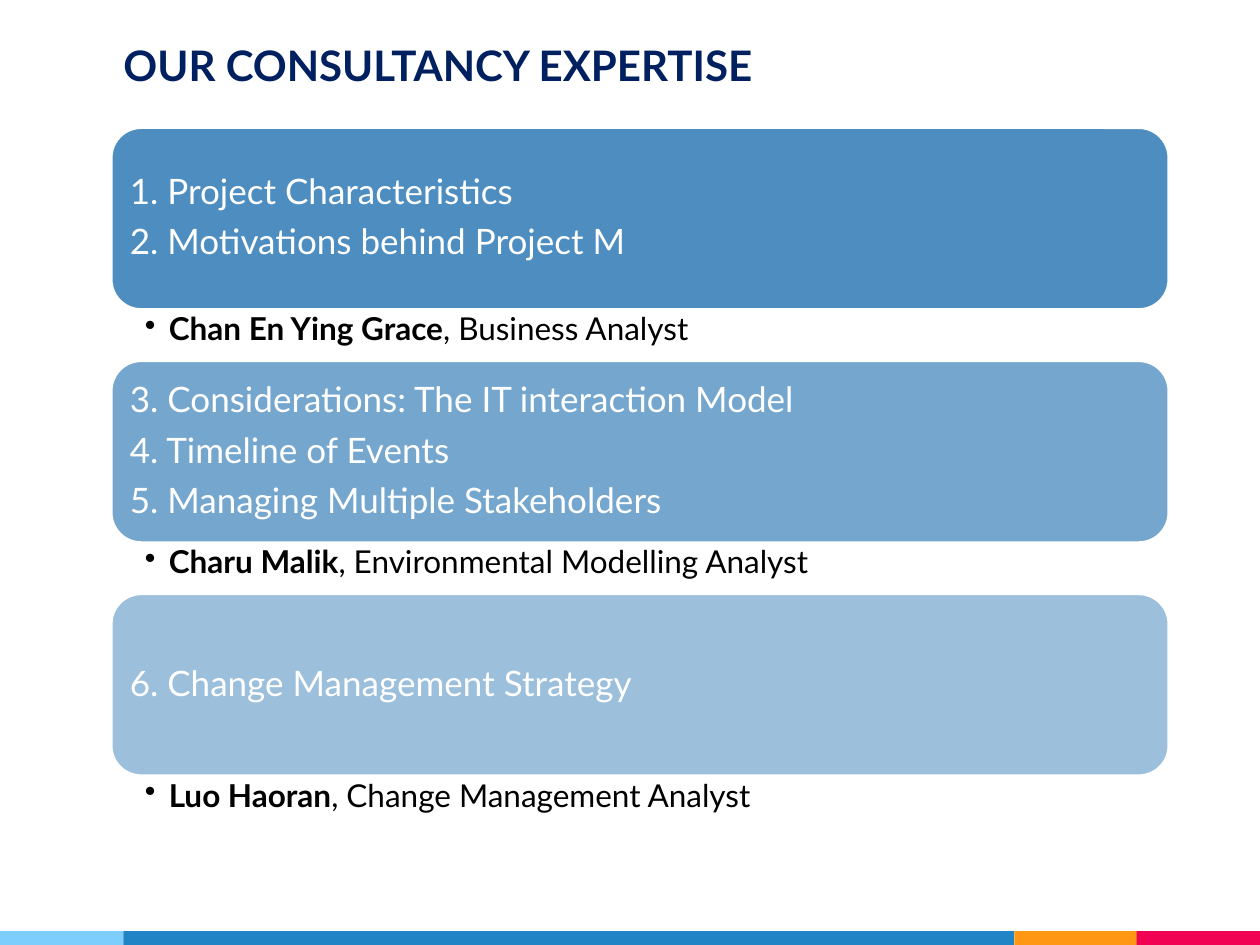
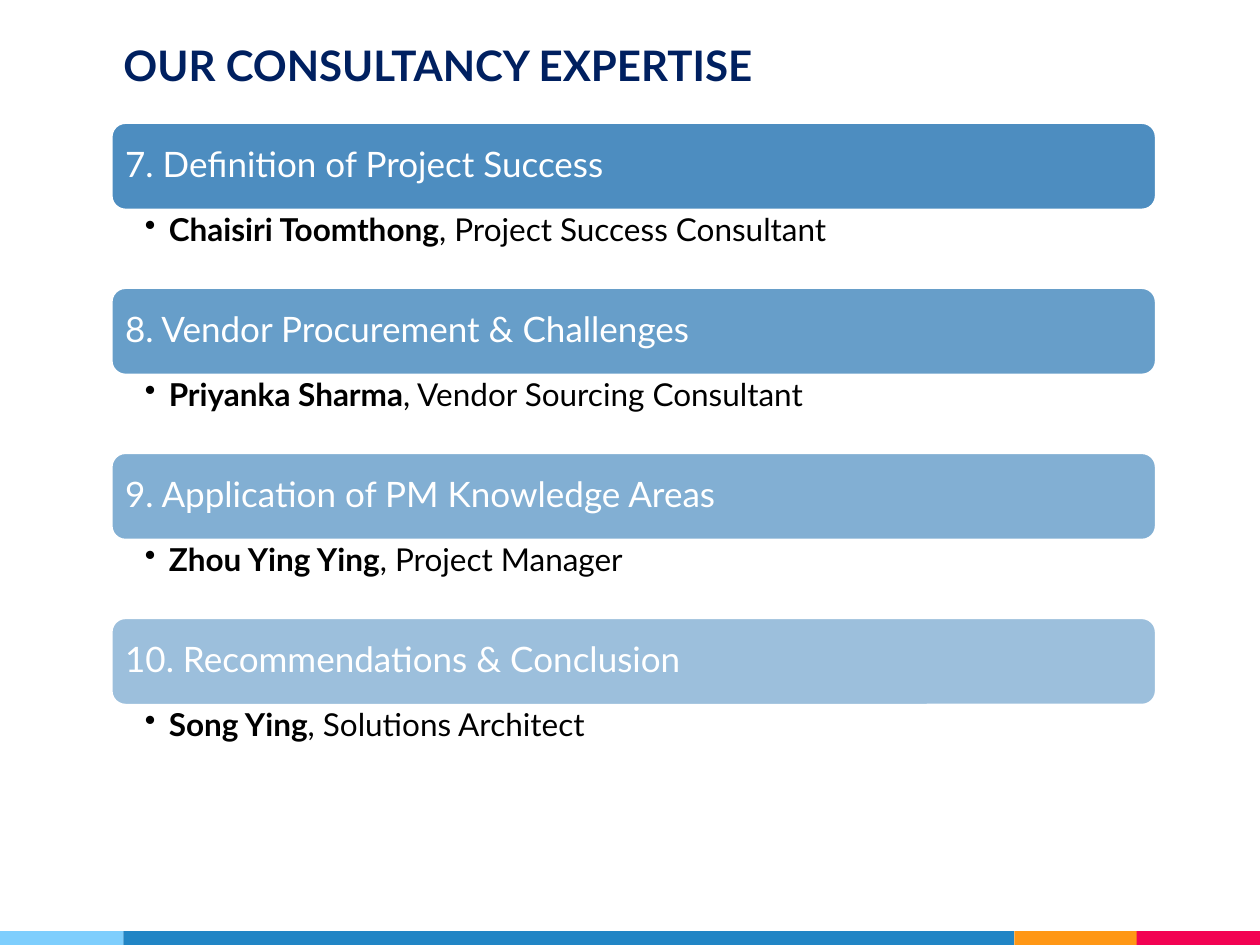
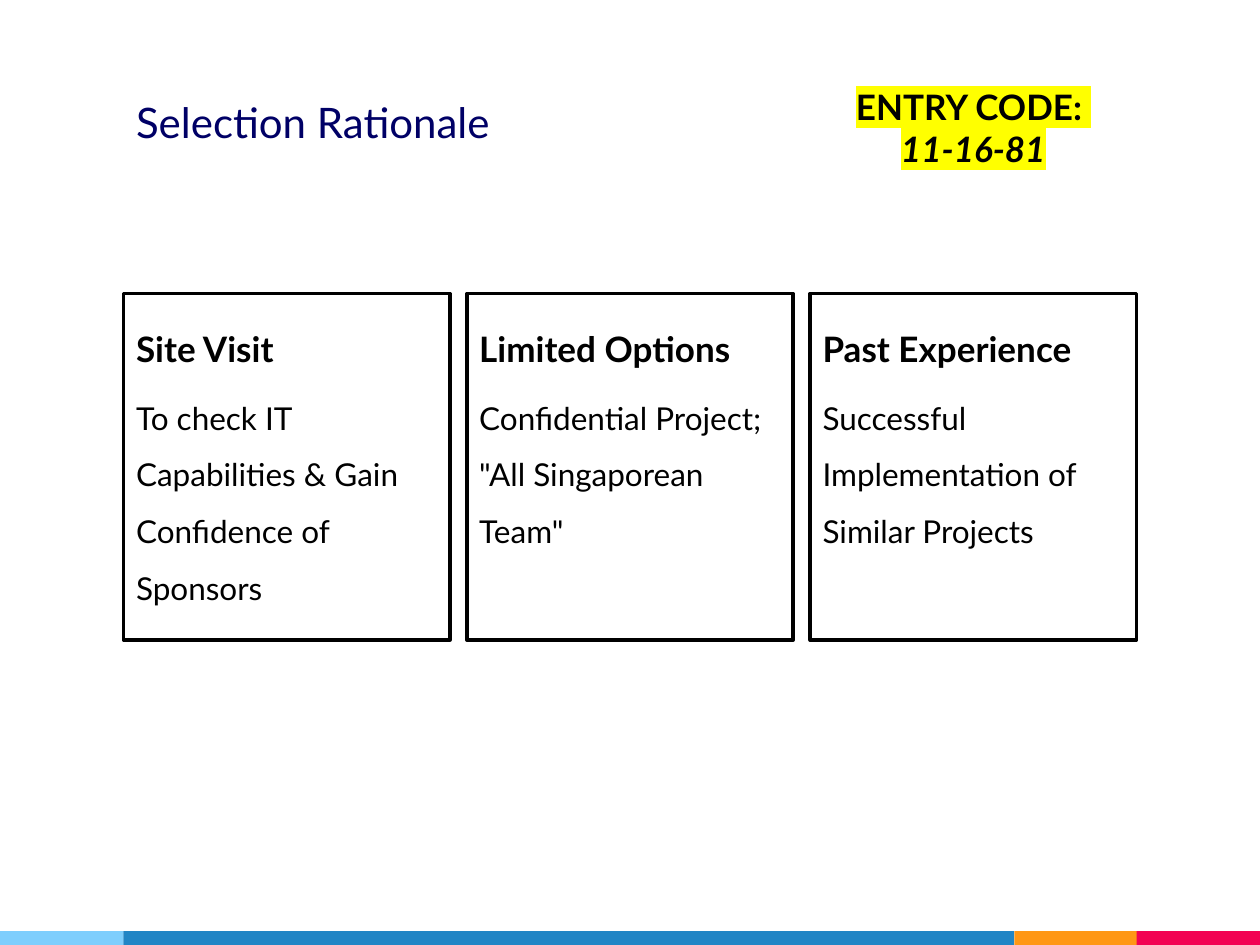
from lxml.etree import SubElement
from pptx import Presentation
from pptx.dml.color import RGBColor
from pptx.enum.shapes import MSO_SHAPE
from pptx.enum.text import MSO_ANCHOR, MSO_AUTO_SIZE, PP_ALIGN
from pptx.oxml.ns import qn
from pptx.util import Inches, Pt

FONT = "Lato"
WHITE = "FFFFFF"
BLACK = "000000"
NAVY = "002060"
INDIGO = "000066"
BAND_BLUE = "3A81BA"
HIGHLIGHT = "FFFF00"
FOOTER_TOP = 7.39
FOOTER_STRIPES = [
    (0, 0.98, "7ECEFD"),
    (0.98, 7.07, "2185C5"),
    (8.05, 0.98, "FF9715"),
    (9.02, 0.98, "F20253"),
]
EXPERTISE_TITLE = "OUR CONSULTANCY EXPERTISE"
BAND_LEFT = 0.88

FIRST_TEAM = [
    (["1. Project Characteristics", "2. Motivations behind Project M"],
     "Chan En Ying Grace", "Business Analyst"),
    (["3. Considerations: The IT interaction Model", "4. Timeline of Events",
      "5. Managing Multiple Stakeholders"],
     "Charu Malik", "Environmental Modelling Analyst"),
    (["6. Change Management Strategy"], "Luo Haoran", "Change Management Analyst"),
]
SECOND_TEAM = [
    (["7. Definition of Project Success"],
     "Chaisiri Toomthong", "Project Success Consultant"),
    (["8. Vendor Procurement & Challenges"],
     "Priyanka Sharma", "Vendor Sourcing Consultant"),
    (["9. Application of PM Knowledge Areas"], "Zhou Ying Ying", "Project Manager"),
    (["10. Recommendations & Conclusion"], "Song Ying", "Solutions Architect"),
]
RATIONALE = [
    ("Site Visit", "To check IT Capabilities & Gain Confidence of Sponsors"),
    ("Limited Options", "Confidential Project; \"All Singaporean Team\""),
    ("Past Experience", "Successful Implementation of Similar Projects"),
]


def color(value):
    return RGBColor.from_string(value)


def place(shape, left, top, width, height):
    shape.left, shape.top = Inches(left), Inches(top)
    shape.width, shape.height = Inches(width), Inches(height)


def set_frame(shape, insets, anchor=MSO_ANCHOR.TOP):
    frame = shape.text_frame
    frame.word_wrap = True
    frame.auto_size = MSO_AUTO_SIZE.NONE
    frame.vertical_anchor = anchor
    frame.margin_left, frame.margin_top, frame.margin_right, frame.margin_bottom = (
        Inches(inset) for inset in insets)
    return frame


def set_font(font, size, value, bold=None):
    font.name = FONT
    font.size = Pt(size)
    font.bold = bold
    font.color.rgb = color(value)


def write_lines(frame, lines):
    frame.text = "\n".join(lines)
    return frame.paragraphs


def set_bullet(para, character=None, hanging=0):
    properties = para._p.get_or_add_pPr()
    properties.set("marL", str(Inches(hanging)))
    properties.set("indent", str(-Inches(hanging)))
    if character:
        SubElement(properties, qn("a:buChar"), char=character)
    else:
        SubElement(properties, qn("a:buNone"))


def add_block(page, kind, bounds, fill, line=None, opacity=100):
    block = page.shapes.add_shape(kind, *(Inches(length) for length in bounds))
    block.shadow.inherit = False
    block.fill.solid()
    block.fill.fore_color.rgb = color(fill)
    if opacity < 100:
        solid = block.fill._xPr.find(qn("a:solidFill"))
        SubElement(solid[0], qn("a:alpha"), val=str(opacity * 1000))
    if line:
        outline(block, line)
    else:
        block.line.fill.background()
    return block


def outline(shape, value):
    shape.line.color.rgb = color(value)
    shape.line.width = Pt(2)


def add_footer(deck, page):
    master = deck.slide_master.shapes.element
    for left, width, fill in FOOTER_STRIPES:
        stripe = add_block(page, MSO_SHAPE.RECTANGLE, (left, FOOTER_TOP, width, 0.11), fill)
        master.append(stripe.element)


def set_title(page, text, bounds, value, bold):
    title = page.shapes.title
    place(title, *bounds)
    frame = set_frame(title, [0.1] * 4, MSO_ANCHOR.BOTTOM)
    para = write_lines(frame, [text])[0]
    para.alignment = PP_ALIGN.LEFT
    set_font(para.font, 24, value, bold)


def add_topic_band(page, bounds, topics, opacity):
    band = add_block(page, MSO_SHAPE.ROUNDED_RECTANGLE, bounds, BAND_BLUE, WHITE, opacity)
    frame = set_frame(band, [0.08] * 4, MSO_ANCHOR.MIDDLE)
    for para in write_lines(frame, topics):
        para.alignment = PP_ALIGN.LEFT
        para.line_spacing = 0.9
        para.space_after = Pt(7)
        set_font(para.font, 20, WHITE)


def add_consultant(page, bounds, name, role):
    box = page.shapes.add_textbox(*(Inches(length) for length in bounds))
    para = set_frame(box, (0.27, 0.03, 0.14, 0.03)).paragraphs[0]
    para.line_spacing = 0.9
    set_bullet(para, "•", 0.19)
    set_font(para.font, 18, BLACK)
    span = para.add_run()
    span.text = name
    span.font.bold = True
    para.add_run().text = f", {role}"


def add_expertise_page(deck, team, top, pitch, width, band_height):
    page = deck.slides.add_slide(deck.slide_layouts[5])
    set_title(page, EXPERTISE_TITLE, (BAND_LEFT, 0.23, 8.3, 0.58), NAVY, True)
    for index, (topics, name, role) in enumerate(team):
        band_top = top + index * pitch
        opacity = round(90 - 40 * index / (len(team) - 1))
        add_topic_band(page, (BAND_LEFT, band_top, width, band_height), topics, opacity)
        add_consultant(page, (BAND_LEFT, band_top + band_height, width, pitch - band_height),
                       name, role)
    return page


def fill_card(card, heading, detail):
    outline(card, BLACK)
    head, body = write_lines(set_frame(card, [0.1] * 4), [heading, detail])
    for para, size, before, bold in [(head, 20, 0, True), (body, 18, 6, False)]:
        para.alignment = PP_ALIGN.LEFT
        para.line_spacing = 1.5
        para.space_before = Pt(before)
        set_bullet(para)
        set_font(para.font, size, BLACK, bold)


def add_entry_code(page):
    box = page.shapes.add_textbox(Inches(6.43), Inches(0.63), Inches(2.59), Inches(0.77))
    frame = set_frame(box, (0.1, 0.05, 0.1, 0.05))
    label, code = write_lines(frame, ["ENTRY CODE: ", "11-16-81"])
    for para in (label, code):
        para.alignment = PP_ALIGN.CENTER
        set_font(para.font, 20, BLACK, True)
        properties = para.runs[0]._r.get_or_add_rPr()
        mark = SubElement(properties, qn("a:highlight"))
        SubElement(mark, qn("a:srgbClr"), val=HIGHLIGHT)
    code.runs[0].font.italic = True


def add_rationale_page(deck):
    page = deck.slides.add_slide(deck.slide_layouts[1])
    set_title(page, "Selection Rationale", (0.98, 0.63, 7.07, 0.64), INDIGO, False)
    for index, (heading, detail) in enumerate(RATIONALE):
        bounds = (0.98 + index * 2.725, 2.33, 2.59, 2.75)
        if index == 0:
            card = page.placeholders[1]
            place(card, *bounds)
        else:
            card = add_block(page, MSO_SHAPE.RECTANGLE, bounds, WHITE)
        fill_card(card, heading, detail)
    add_entry_code(page)


def main():
    deck = Presentation()
    deck.slide_width, deck.slide_height = Inches(10), Inches(7.5)
    first_page = add_expertise_page(deck, FIRST_TEAM, 1.01, 1.85, 8.4, 1.45)
    add_footer(deck, first_page)
    add_expertise_page(deck, SECOND_TEAM, 0.97, 1.31, 8.3, 0.7)
    add_rationale_page(deck)
    deck.save("out.pptx")


if __name__ == "__main__":
    main()
